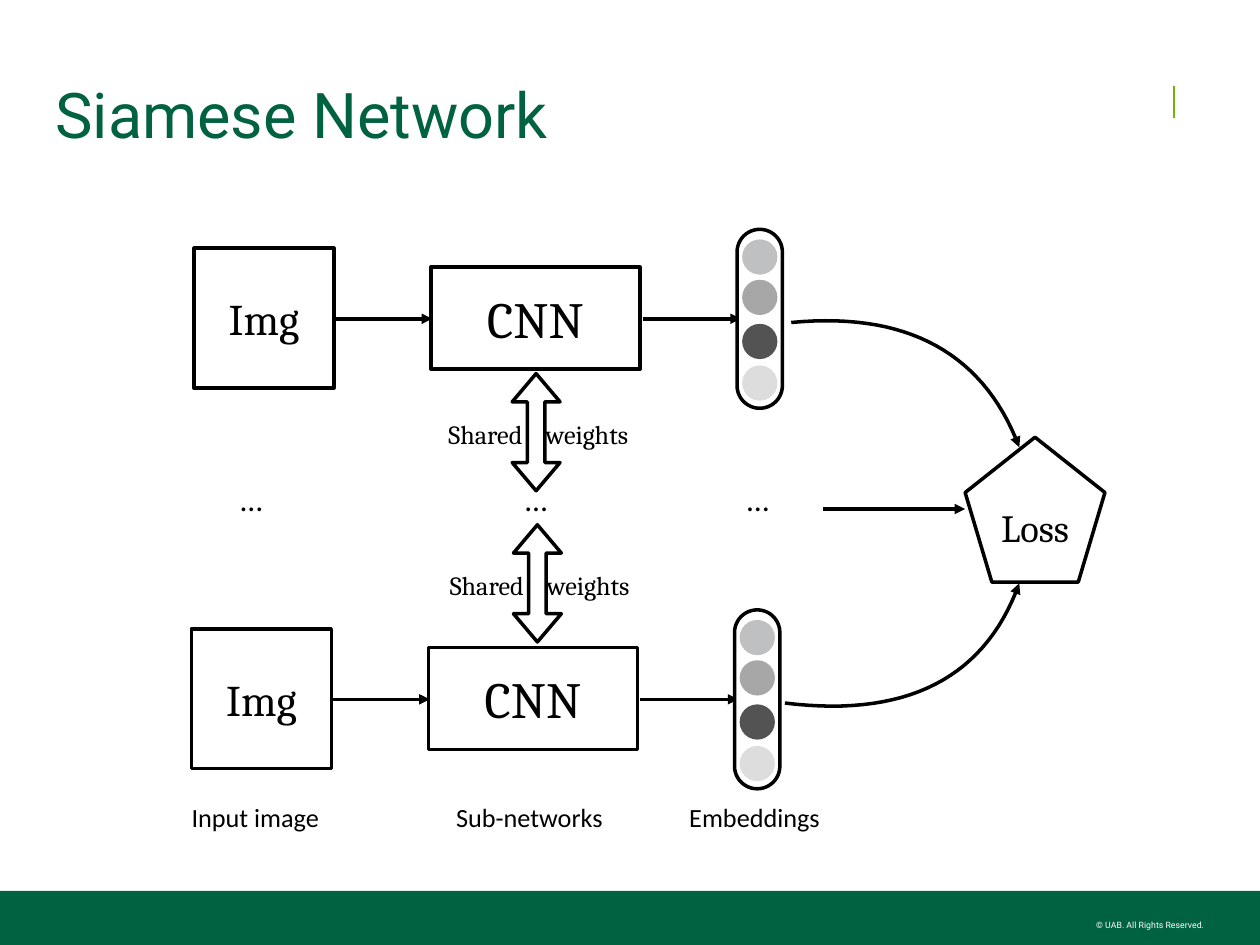
from lxml.etree import SubElement
from pptx import Presentation
from pptx.dml.color import RGBColor
from pptx.enum.shapes import MSO_CONNECTOR, MSO_SHAPE
from pptx.enum.text import MSO_ANCHOR, PP_ALIGN
from pptx.oxml.ns import qn
from pptx.util import Inches, Pt

GREEN, LIME, BLACK, WHITE = "006241", "70B207", "000000", "FFFFFF"


def rgb(code):
    return RGBColor.from_string(code)


class Diagram:
    """Holds the slide and the common look of its elements."""
    serif, sans, brand = "Cambria", "Calibri", "Roboto"
    stroke, inset = 2, 0.05

    def __init__(self, slide):
        self.slide = slide
        self.shapes = slide.shapes

    def label(self, frame, words, size, font, color=BLACK, align=PP_ALIGN.LEFT,
              anchor=MSO_ANCHOR.TOP, inset=inset, wrap=False, tab=None):
        frame.margin_left = frame.margin_right = Inches(inset)
        frame.margin_top = frame.margin_bottom = Inches(inset)
        frame.word_wrap = wrap
        frame.vertical_anchor = anchor
        frame.text = words
        paragraph = frame.paragraphs[0]
        paragraph.alignment = align
        if tab:
            stops = SubElement(paragraph._p.get_or_add_pPr(), qn("a:tabLst"))
            SubElement(stops, qn("a:tab"), pos=str(Inches(tab)), algn="l")
        paragraph.font.size = Pt(size)
        paragraph.font.name = font
        paragraph.font.color.rgb = rgb(color)
        return paragraph

    def text(self, x, y, w, h, words, size, font, **style):
        box = self.shapes.add_textbox(Inches(x), Inches(y), Inches(w), Inches(h))
        return self.label(box.text_frame, words, size, font, **style)

    def shape(self, kind, x, y, w, h, fill=WHITE, outline=True, adjust=()):
        item = self.shapes.add_shape(kind, Inches(x), Inches(y), Inches(w), Inches(h))
        item.shadow.inherit = False
        item.fill.solid()
        item.fill.fore_color.rgb = rgb(fill)
        if outline:
            self.pen(item.line)
        else:
            item.line.fill.background()
        for index, value in enumerate(adjust):
            item.adjustments[index] = value
        return item

    def node(self, kind, x, y, w, h, words, size):
        item = self.shape(kind, x, y, w, h)
        self.label(item.text_frame, words, size, self.serif, wrap=True,
                   align=PP_ALIGN.CENTER, anchor=MSO_ANCHOR.MIDDLE)

    def pen(self, line, color=BLACK, width=stroke, arrow=False):
        line.color.rgb = rgb(color)
        line.width = Pt(width)
        if arrow:
            SubElement(line._get_or_add_ln(), qn("a:tailEnd"), type="triangle")

    def line(self, x1, y1, x2, y2, **style):
        link = self.shapes.add_connector(MSO_CONNECTOR.STRAIGHT, Inches(x1), Inches(y1),
                                         Inches(x2), Inches(y2))
        self.pen(link.line, **style)
        SubElement(link._element.spPr, qn("a:effectLst"))

    def curve(self, *controls, steps=30):
        """Arrow along the cubic Bezier curve of four control points."""
        def point(t):
            weights = ((1 - t) ** 3, 3 * t * (1 - t) ** 2, 3 * t * t * (1 - t), t ** 3)
            return tuple(Inches(sum(w * c[axis] for w, c in zip(weights, controls)))
                         for axis in (0, 1))

        points = [point(i / steps) for i in range(steps + 1)]
        builder = self.shapes.build_freeform(*points[0])
        builder.add_line_segments(points[1:], close=False)
        arc = builder.convert_to_shape()
        arc.shadow.inherit = False
        arc.fill.background()
        self.pen(arc.line, arrow=True)

    def branch(self, dx, dy):
        """One image, its sub-network and its embedding."""
        self.node(MSO_SHAPE.RECTANGLE, 3.42 + dx, 2.12 + dy, 1.66, 0.81, "CNN", 29)
        self.node(MSO_SHAPE.RECTANGLE, 1.54 + dx, 1.97 + dy, 1.11, 1.11, "Img", 25)
        for start in (2.65, 5.1):
            self.line(start + dx, 2.53 + dy, start + 0.78 + dx, 2.53 + dy, arrow=True)
        self.shape(MSO_SHAPE.ROUNDED_RECTANGLE, 5.85 + dx, 1.82 + dy, 0.36, 1.42, adjust=[0.5])
        for top, gray in ((1.9, "BFC0C2"), (2.22, "A7A7A7"), (2.57, "535353"), (2.9, "DDDDDD")):
            self.shape(MSO_SHAPE.OVAL, 5.89 + dx, top + dy, 0.28, 0.28, gray, outline=False)

    def shared_weights(self, dx, dy):
        arrow = self.shape(MSO_SHAPE.LEFT_RIGHT_ARROW, 3.79 + dx, 3.24 + dy, 0.93, 0.38,
                           adjust=[0.366, 0.59])
        arrow.rotation = 270
        self.text(3.51 + dx, 3.27 + dy, 1.6, 0.35, "Shared\tweights", 15, self.serif,
                  wrap=True, tab=0.77)


def main():
    deck = Presentation()
    deck.slide_width, deck.slide_height = Inches(10), Inches(7.5)
    diagram = Diagram(deck.slides.add_slide(deck.slide_layouts[6]))

    # Page frame and title
    diagram.line(9.32, 0.68, 9.32, 0.94, color=LIME, width=1)
    diagram.shape(MSO_SHAPE.RECTANGLE, 0, 7.07, 10, 0.43, GREEN, outline=False)
    diagram.text(8.7, 7.3, 0.86, 0.14, "© UAB. All Rights Reserved.", 5, diagram.brand,
                 color=WHITE, align=PP_ALIGN.RIGHT, inset=0)
    title = diagram.text(0.44, 0.52, 8.72, 0.84, "Siamese Network", 36, diagram.brand,
                         color=GREEN, anchor=MSO_ANCHOR.MIDDLE, inset=0, wrap=True)
    title.line_spacing = 0.9

    # Upper and lower branches, with more implied between them
    for offset in ((0, 0), (-0.02, 3.02)):
        diagram.branch(*offset)
    for x in (1.86, 4.12, 5.88):
        diagram.text(x, 3.76, 0.3, 0.39, "…", 18, diagram.sans)
    for offset in ((0, 0), (0.01, 1.2)):
        diagram.shared_weights(*offset)

    # Loss and the arrows into it
    diagram.node(MSO_SHAPE.REGULAR_PENTAGON, 7.66, 3.47, 1.11, 1.15, "Loss", 22)
    diagram.line(6.53, 4.04, 7.66, 4.04, arrow=True)
    diagram.curve((6.28, 2.56), (7.21, 2.47), (7.81, 2.81), (8.09, 3.55))
    diagram.curve((6.23, 5.58), (7.2, 5.7), (7.82, 5.38), (8.09, 4.63))

    # Column captions
    for x, width, caption in ((1.47, 1.22, "Input image"), (3.57, 1.37, "Sub-networks"),
                              (5.42, 1.22, "Embeddings")):
        diagram.text(x, 6.31, width, 0.34, caption, 15, diagram.sans)

    deck.save("out.pptx")


if __name__ == "__main__":
    main()
